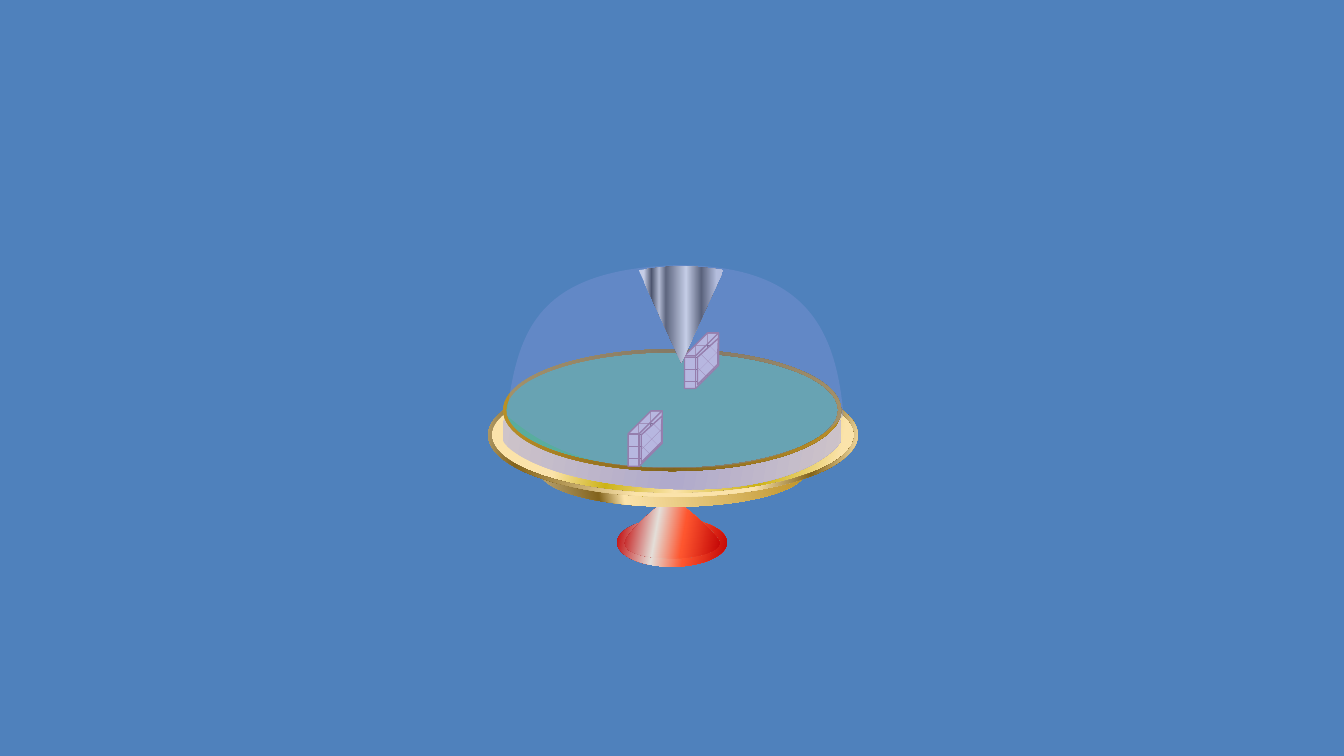
import math

from lxml import etree
from pptx import Presentation
from pptx.dml.color import RGBColor
from pptx.enum.dml import MSO_PATTERN
from pptx.enum.shapes import MSO_SHAPE
from pptx.oxml.ns import qn
from pptx.util import Cm, Pt

OVAL, RING, ARC, CUBE = MSO_SHAPE.OVAL, MSO_SHAPE.DONUT, MSO_SHAPE.BLOCK_ARC, MSO_SHAPE.CUBE
FRONT_BRICK, SIDE_BRICK = MSO_PATTERN.HORIZONTAL_BRICK, MSO_PATTERN.DIAGONAL_BRICK

SKY = RGBColor(0x4F, 0x81, 0xBC)
TEAL = RGBColor(0x59, 0xAD, 0x9E)
GLASS = RGBColor(0x80, 0x95, 0xD6)
MORTAR = RGBColor(0xA3, 0x71, 0x94)
BRICK = RGBColor(0xDB, 0xCD, 0xE7)
RED = RGBColor(0xC2, 0x05, 0x06)
ORANGE = RGBColor(0xFE, 0x56, 0x2F)
SHINE = RGBColor(0xE4, 0xDF, 0xD9)
CREAM = RGBColor(0xFB, 0xE3, 0xAA)
GOLD = RGBColor(0xCD, 0xB3, 0x17)
AMBER = RGBColor(0xBD, 0x91, 0x26)
BRONZE = RGBColor(0x83, 0x64, 0x1D)
KHAKI = RGBColor(0xBB, 0xA7, 0x79)
MAUVE = RGBColor(0xCE, 0xC4, 0xC9)
LILAC = RGBColor(0xB0, 0xAA, 0xCB)

# Gradients: (percent, colour) stops
FOOT_FILL = [(0, RED), (35, SHINE), (62, ORANGE), (100, RED)]
UNDERSIDE_FILL = [(0, KHAKI), (22, BRONZE), (31, CREAM), (100, AMBER)]
PLATE_FILL = [(21, CREAM), (35, GOLD), (53, CREAM), (74, GOLD), (94, CREAM)]
PLATE_EDGE_FILL = [(0, KHAKI), (11, BRONZE), (43, CREAM), (73, CREAM), (87, BRONZE), (99, CREAM)]
BAND_FILL = [(0, MAUVE), (52, LILAC), (100, MAUVE)]
RIM_FILL = [(0, AMBER), (52, BRONZE), (100, AMBER)]
STEEL_FILL = [(6, RGBColor(0xF2, 0xF2, 0xF2)), (15, RGBColor(0x2E, 0x2E, 0x2E)),
              (24, RGBColor(0xD0, 0xD0, 0xD0)), (32, RGBColor(0x48, 0x48, 0x48)),
              (56, RGBColor(0xF1, 0xF1, 0xF1)), (74, RGBColor(0x43, 0x43, 0x44)),
              (92, RGBColor(0xD6, 0xD8, 0xE3))]
TILT = 10

# Boxes in cm: left, top, width, height
FOOT = (15.55, 13.06, 2.77, 1.22)
UNDERSIDE = (13.59, 10.97, 6.71, 1.8)
PLATE = (12.32, 9.4, 9.27, 3.12)
PLATE_EDGE = (12.3, 9.4, 9.32, 3.12)
TABLE_TOP = (12.68, 8.8, 8.52, 3.07)
WALL_CORNERS = [(15.83, 10.35), (17.25, 8.39)]
WALL_SIZE = (0.86, 1.4)

# Outlines in cm: a start, then line steps of one point and curve steps of three
STEM = [[(15.75, 13.69)],
        [(15.75, 13.44), (16.71, 12.6), (16.89, 12.57)],
        [(17.07, 12.57), (18.14, 13.49), (18.14, 13.69)],
        [(18.14, 13.89), (17.6, 14.07), (16.94, 14.07)],
        [(16.28, 14.07), (15.75, 13.94), (15.75, 13.69)]]
BAND = [[(12.68, 10.62)],
        [(12.7, 10.34), (14.58, 10.1), (16.94, 10.1)],
        [(19.28, 10.1), (21.19, 10.49), (21.19, 10.62)],
        [(21.19, 11.1)],
        [(21.19, 11.23), (20.17, 12.45), (16.89, 12.32)],
        [(13.59, 12.17), (12.68, 11.23), (12.68, 11.1)]]
WALL_SIDE = [[(0.33, 0.61)], [(0.86, 0.13)],
             [(0.84, 0.33), (0.84, 0.56), (0.84, 0.79)], [(0.33, 1.3)]]
NEEDLE = [[(16.1, 6.81)], [(17.17, 9.14)], [(18.23, 6.81)],
          [(17.45, 6.68), (16.92, 6.68), (16.1, 6.81)]]
DOME = [[(12.78, 10.46)],
        [(13.06, 8.36), (13.51, 6.81), (17.02, 6.68)],
        [(20.32, 6.65), (21.08, 8.28), (21.27, 10.46)],
        [(20.4, 11.53), (18.44, 11.81), (17.07, 11.79)],
        [(15.6, 11.81), (14.1, 11.63), (12.78, 10.46)]]
DOME_CENTRE = (16.93, 9.59)
DOME_TURN = 141.5
CURVE_STEPS = 20


def bezier(start, first, second, end, t):
    weights = ((1 - t) ** 3, 3 * t * (1 - t) ** 2, 3 * t * t * (1 - t), t ** 3)
    corners = (start, first, second, end)
    return tuple(sum(w * c[axis] for w, c in zip(weights, corners)) for axis in (0, 1))


def traced(outline):
    """Points along the outline, from which its extents are found."""
    points = list(outline[0])
    for step in outline[1:]:
        if len(step) == 1:
            points += step
        else:
            start = points[-1]
            points += [bezier(start, *step, i / CURVE_STEPS) for i in range(1, CURVE_STEPS + 1)]
    return points


def turned(outline, centre, degrees):
    cos, sin = math.cos(math.radians(degrees)), math.sin(math.radians(degrees))
    cx, cy = centre
    return [[(cx + (x - cx) * cos - (y - cy) * sin, cy + (x - cx) * sin + (y - cy) * cos)
             for x, y in step] for step in outline]


def plain(shape):
    shape.shadow.inherit = False
    shape.line.fill.background()
    return shape


def add_preset(shapes, kind, box, *adjustments):
    shape = plain(shapes.add_shape(kind, *map(Cm, box)))
    for i, value in enumerate(adjustments):
        shape.adjustments[i] = value
    return shape


def add_outline(shapes, outline, left=0, top=0):
    """Add a freeform with true curves, shifted by left and top."""
    points = [(Cm(x + left), Cm(y + top)) for x, y in traced(outline)]
    builder = shapes.build_freeform(*points[0], scale=1.0)
    builder.add_line_segments(points[1:], close=True)
    shape = plain(builder.convert_to_shape())
    contour = next(shape._element.spPr.iter(qn("a:path")))
    for segment in list(contour):
        contour.remove(segment)
    for i, step in enumerate(outline):
        tag = "a:moveTo" if i == 0 else "a:lnTo" if len(step) == 1 else "a:cubicBezTo"
        segment = etree.SubElement(contour, qn(tag))
        for x, y in step:
            etree.SubElement(segment, qn("a:pt"), x=str(Cm(x + left) - shape.left),
                             y=str(Cm(y + top) - shape.top))
    etree.SubElement(contour, qn("a:close"))
    return shape


def fill_solid(shape, colour, opacity=100):
    shape.fill.solid()
    shape.fill.fore_color.rgb = colour
    if opacity < 100:
        rgb = shape._element.spPr.find(qn("a:solidFill"))[0]
        etree.SubElement(rgb, qn("a:alpha"), val=str(opacity * 1000))


def fill_gradient(shape, stops, clockwise=TILT):
    shape.fill.gradient()
    shape.fill.gradient_angle = -clockwise % 360
    stop_list = shape._element.spPr.find(qn("a:gradFill")).find(qn("a:gsLst"))
    for old in list(stop_list):
        stop_list.remove(old)
    for percent, colour in stops:
        stop = etree.SubElement(stop_list, qn("a:gs"), pos=str(percent * 1000))
        etree.SubElement(stop, qn("a:srgbClr"), val=str(colour))


def fill_bricks(shape, pattern):
    shape.fill.patterned()
    shape.fill.pattern = pattern
    shape.fill.fore_color.rgb = MORTAR
    shape.fill.back_color.rgb = BRICK
    shape.line.color.rgb = MORTAR
    shape.line.width = Pt(1)


def main():
    prs = Presentation()
    prs.slide_width, prs.slide_height = Cm(33.87), Cm(19.05)
    slide = prs.slides.add_slide(prs.slide_layouts[6])
    slide.background.fill.solid()
    slide.background.fill.fore_color.rgb = SKY
    shapes = slide.shapes

    fill_gradient(add_preset(shapes, OVAL, FOOT), FOOT_FILL)
    fill_gradient(add_outline(shapes, STEM), FOOT_FILL)
    underside = add_preset(shapes, ARC, UNDERSIDE)
    underside._element.spPr.find(qn("a:xfrm")).set("flipV", "1")
    fill_gradient(underside, UNDERSIDE_FILL)
    fill_gradient(add_preset(shapes, OVAL, PLATE), PLATE_FILL)
    fill_gradient(add_preset(shapes, RING, PLATE_EDGE, 0.028), PLATE_EDGE_FILL)
    fill_gradient(add_outline(shapes, BAND), BAND_FILL)
    fill_solid(add_preset(shapes, OVAL, TABLE_TOP), TEAL)
    fill_gradient(add_preset(shapes, RING, TABLE_TOP, 0.025), RIM_FILL)
    for corner in WALL_CORNERS:
        fill_bricks(add_preset(shapes, CUBE, corner + WALL_SIZE, 0.675), FRONT_BRICK)
        fill_bricks(add_outline(shapes, WALL_SIDE, *corner), SIDE_BRICK)
    fill_gradient(add_outline(shapes, NEEDLE), STEEL_FILL, clockwise=0)
    dome = add_outline(shapes, turned(DOME, DOME_CENTRE, -DOME_TURN))
    dome.rotation = DOME_TURN
    fill_solid(dome, GLASS, opacity=39)

    prs.save("out.pptx")


if __name__ == "__main__":
    main()
